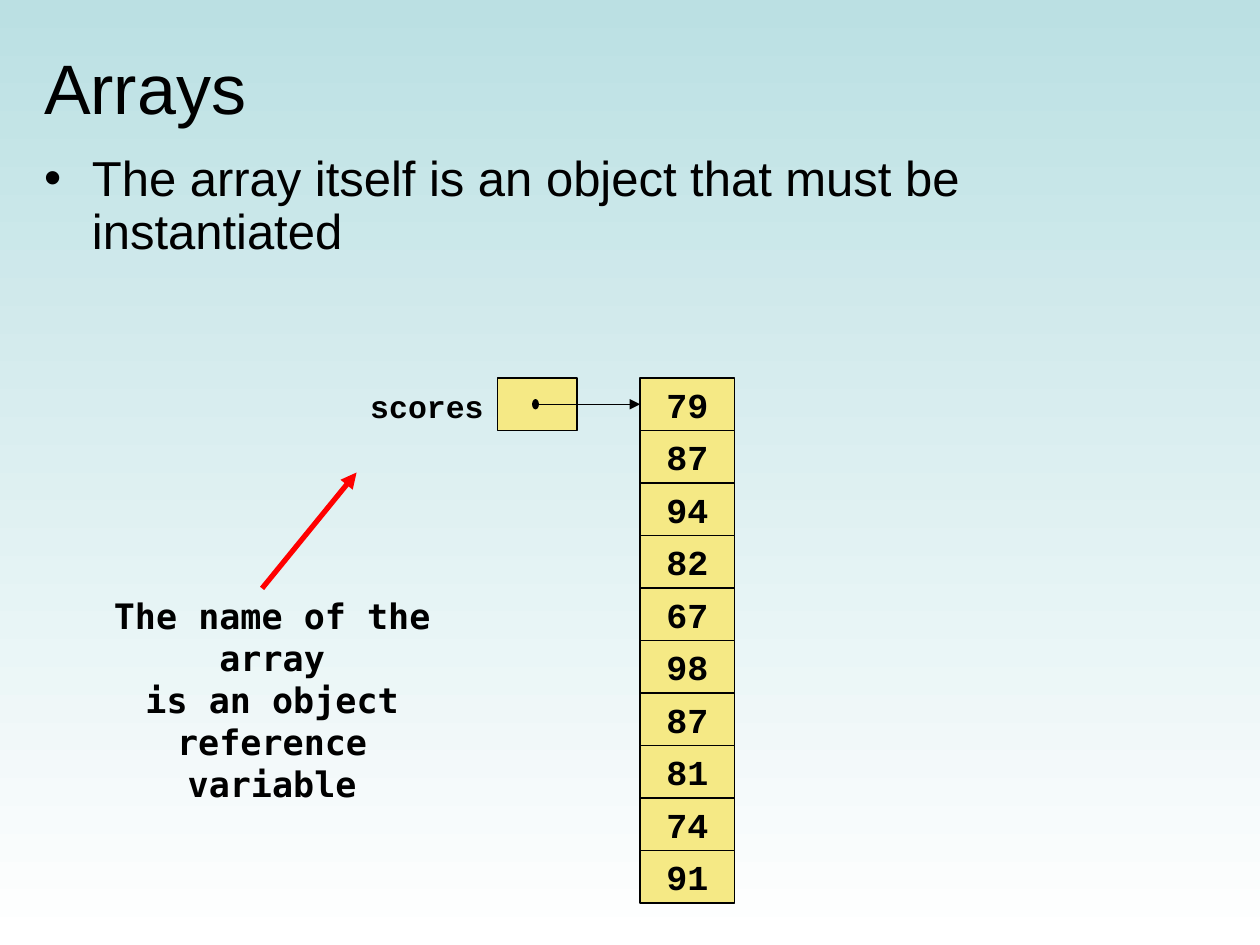
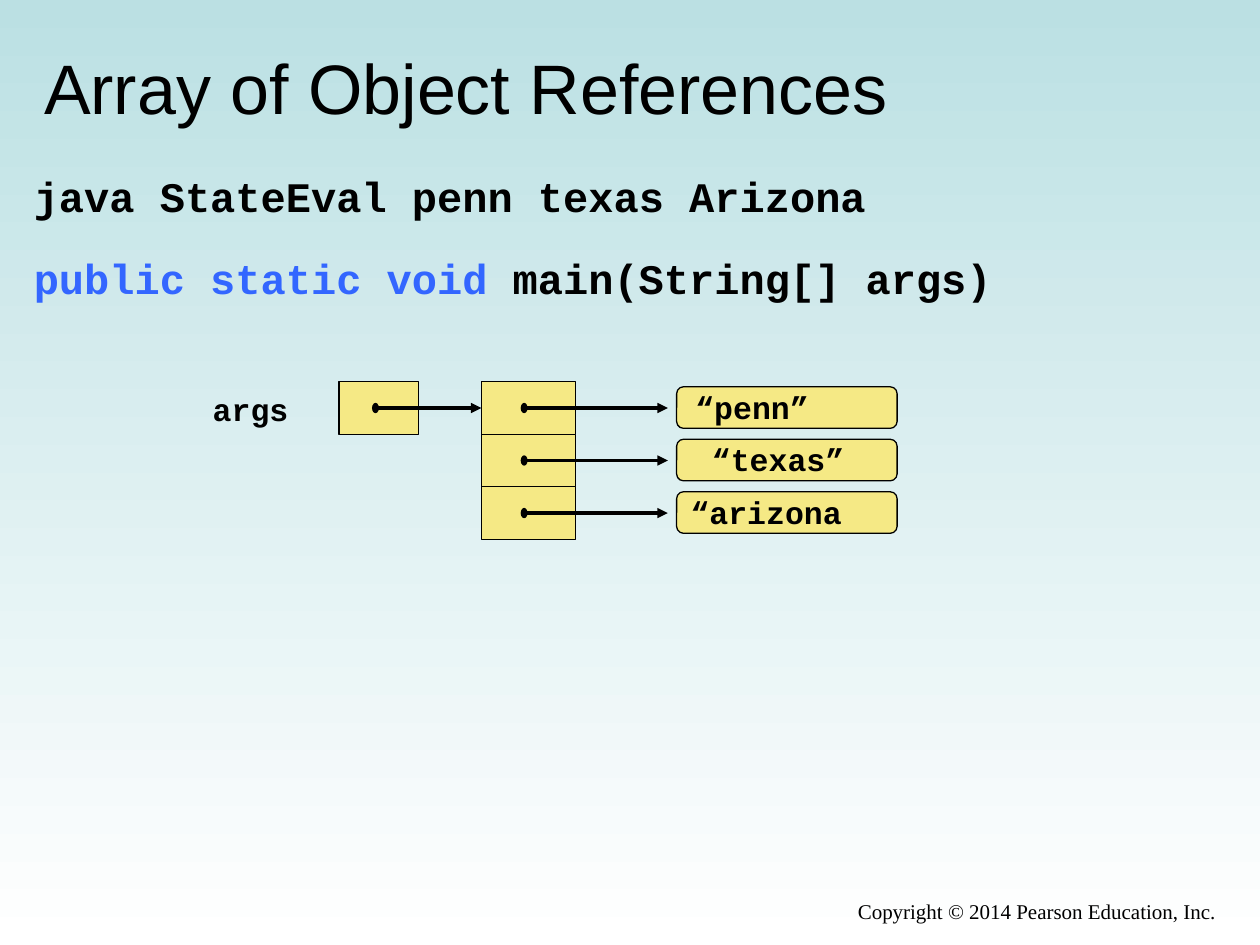
from lxml.etree import SubElement
from pptx import Presentation
from pptx.dml.color import RGBColor
from pptx.enum.shapes import MSO_CONNECTOR, MSO_SHAPE
from pptx.enum.text import MSO_ANCHOR, MSO_AUTO_SIZE, PP_ALIGN
from pptx.oxml.ns import qn
from pptx.util import Inches, Pt

BLACK, RED, BLUE, YELLOW = "000000", "FF0000", "3366FF", "F5E985"
SKY, WHITE = "BBE0E3", "FFFFFF"
SANS, CODE, NOTE, SERIF = "Arial", "Courier New", "DejaVu Sans Mono", "Times New Roman"
TITLE_AND_CONTENT, TITLE_ONLY = 1, 5
CELL_WIDTH, CELL_HEIGHT = 0.75, 5 / 12
REFERENCE_WIDTH = 0.63
LEFT_SIDE = 1


def color(value):
    return RGBColor.from_string(value)


class Lesson:
    def __init__(self):
        self.deck = Presentation()
        self.deck.slide_width = Inches(10)
        self.deck.slide_height = Inches(7.5)
        self.page = None
        fill = self.deck.slide_master.background.fill
        fill.gradient()
        fill.gradient_angle = 270
        for stop, value in zip(fill.gradient_stops, (SKY, WHITE)):
            stop.color.rgb = color(value)

    def new_page(self, layout, title):
        self.page = self.deck.slides.add_slide(self.deck.slide_layouts[layout])
        box = self.page.shapes.title
        self.place(box, 0.25, 0.3, 9.5, 0.78)
        frame = self.frame(box, MSO_ANCHOR.MIDDLE)
        self.add_spans(frame.paragraphs[0], [(title, BLACK)], 40, SANS)

    def place(self, box, left, top, width, height):
        box.left, box.top = Inches(left), Inches(top)
        box.width, box.height = Inches(width), Inches(height)

    def frame(self, box, anchor=MSO_ANCHOR.TOP, wrap=True):
        frame = box.text_frame
        frame.auto_size = MSO_AUTO_SIZE.NONE
        frame.word_wrap = wrap
        frame.vertical_anchor = anchor
        return frame

    def add_spans(self, para, spans, size, font, bold=False, align=PP_ALIGN.LEFT):
        para.alignment = align
        for text, value in spans:
            span = para.add_run()
            span.text = text
            span.font.size = Pt(size)
            span.font.name = font
            span.font.bold = bold
            span.font.color.rgb = color(value)

    def bullet(self, text):
        box = self.page.placeholders[1]
        self.place(box, 0.25, 1.17, 9.5, 1.5)
        para = self.frame(box).paragraphs[0]
        properties = para._p.get_or_add_pPr()
        properties.set("marL", str(Inches(0.38)))
        properties.set("indent", str(Inches(-0.38)))
        SubElement(properties, qn("a:buFont"), typeface=SANS)
        SubElement(properties, qn("a:buChar"), char="•")
        para.line_spacing = 0.9
        para.space_before = Pt(0)
        self.add_spans(para, [(text, BLACK)], 28, SANS)

    def text(self, left, top, width, height, lines, size=18, font=CODE, bold=True,
             align=PP_ALIGN.LEFT, wrap=True, spacing=None, gap=0):
        box = self.page.shapes.add_textbox(
            Inches(left), Inches(top), Inches(width), Inches(height))
        frame = self.frame(box, wrap=wrap)
        for index, line in enumerate(lines):
            para = frame.add_paragraph() if index else frame.paragraphs[0]
            para.line_spacing = spacing
            para.space_before = Pt(gap if index else 0)
            spans = [(line, BLACK)] if isinstance(line, str) else line
            self.add_spans(para, spans, size, font, bold, align)

    def box(self, left, top, width, height=CELL_HEIGHT, value="",
            kind=MSO_SHAPE.RECTANGLE):
        box = self.page.shapes.add_shape(
            kind, Inches(left), Inches(top), Inches(width), Inches(height))
        box.shadow.inherit = False
        box.fill.solid()
        box.fill.fore_color.rgb = color(YELLOW)
        box.line.color.rgb = color(BLACK)
        box.line.width = Pt(0.75)
        if value:
            frame = self.frame(box, MSO_ANCHOR.MIDDLE, wrap=False)
            self.add_spans(frame.paragraphs[0], [(value, BLACK)], 20, CODE, True,
                           PP_ALIGN.CENTER)
        return box

    def array(self, left, top, values):
        return [self.box(left, top + row * CELL_HEIGHT, CELL_WIDTH, value=value)
                for row, value in enumerate(values)]

    def arrow(self, start, end, width, value=BLACK, dot=True, target=None):
        arrow = self.page.shapes.add_connector(
            MSO_CONNECTOR.STRAIGHT, *map(Inches, start + end))
        if target is not None:
            arrow.end_connect(target, LEFT_SIDE)
        arrow.line.color.rgb = color(value)
        arrow.line.width = Pt(width)
        outline = arrow.get_or_add_ln()
        if dot:
            SubElement(outline, qn("a:headEnd"), type="oval", w="med", len="sm")
        SubElement(outline, qn("a:tailEnd"), type="triangle", w="med", len="med")
        SubElement(arrow._element.spPr, qn("a:effectLst"))


def arrays_page(lesson):
    lesson.new_page(TITLE_AND_CONTENT, "Arrays")
    lesson.bullet("The array itself is an object that must be instantiated")
    top = 3
    lesson.box(3.95, top, REFERENCE_WIDTH)
    lesson.text(2.84, 3.02, 1.1, 0.4, ["scores"], wrap=False)
    scores = ["79", "87", "94", "82", "67", "98", "87", "81", "74", "91"]
    cells = lesson.array(5.08, top, scores)
    middle = top + CELL_HEIGHT / 2
    lesson.arrow((4.25, middle), (5.08, middle), 0.75, target=cells[0])
    lesson.text(0.52, 4.67, 3.28, 1.1,
                ["The name of the array", "is an object reference", "variable"],
                size=20, font=NOTE, align=PP_ALIGN.CENTER)
    lesson.arrow((2.08, 4.67), (2.83, 3.75), 3, RED, dot=False)


def references_page(lesson):
    lesson.new_page(TITLE_ONLY, "Array of Object References")
    lesson.text(0.17, 1.35, 9.5, 1.15, [
        "java StateEval penn texas Arizona",
        [("public static void ", BLUE), ("main(String[] args)", BLACK)],
    ], size=24, spacing=0.9, gap=21)
    lesson.text(3.67, 7.08, 6.08, 0.34, ["Copyright © 2014 Pearson Education, Inc."],
                size=12, font=SERIF, bold=False, align=PP_ALIGN.RIGHT)
    top = 3.03
    middle = top + CELL_HEIGHT / 2
    lesson.box(2.69, top, REFERENCE_WIDTH)
    lesson.text(1.59, 3.05, 0.8, 0.4, ["args"], wrap=False)
    states = [
        ("“penn”", 5.42, 1.51, PP_ALIGN.LEFT),
        ("“texas”", 5.43, 1.49, PP_ALIGN.CENTER),
        ("“arizona", 5.29, 1.58, PP_ALIGN.CENTER),
    ]
    cells = lesson.array(3.82, top, [""] * len(states))
    lesson.arrow((2.98, middle), (3.82, middle), 1.75, target=cells[0])
    for row, (state, left, width, align) in enumerate(states):
        offset = row * CELL_HEIGHT
        lesson.box(5.37, top + 0.04 + offset, 1.75, 0.33,
                   kind=MSO_SHAPE.ROUNDED_RECTANGLE)
        lesson.text(left, top + offset, width, 0.4, [state], align=align)
        lesson.arrow((4.16, middle + offset), (5.3, middle + offset), 1.75)


def main():
    lesson = Lesson()
    arrays_page(lesson)
    references_page(lesson)
    lesson.deck.save("out.pptx")


if __name__ == "__main__":
    main()
